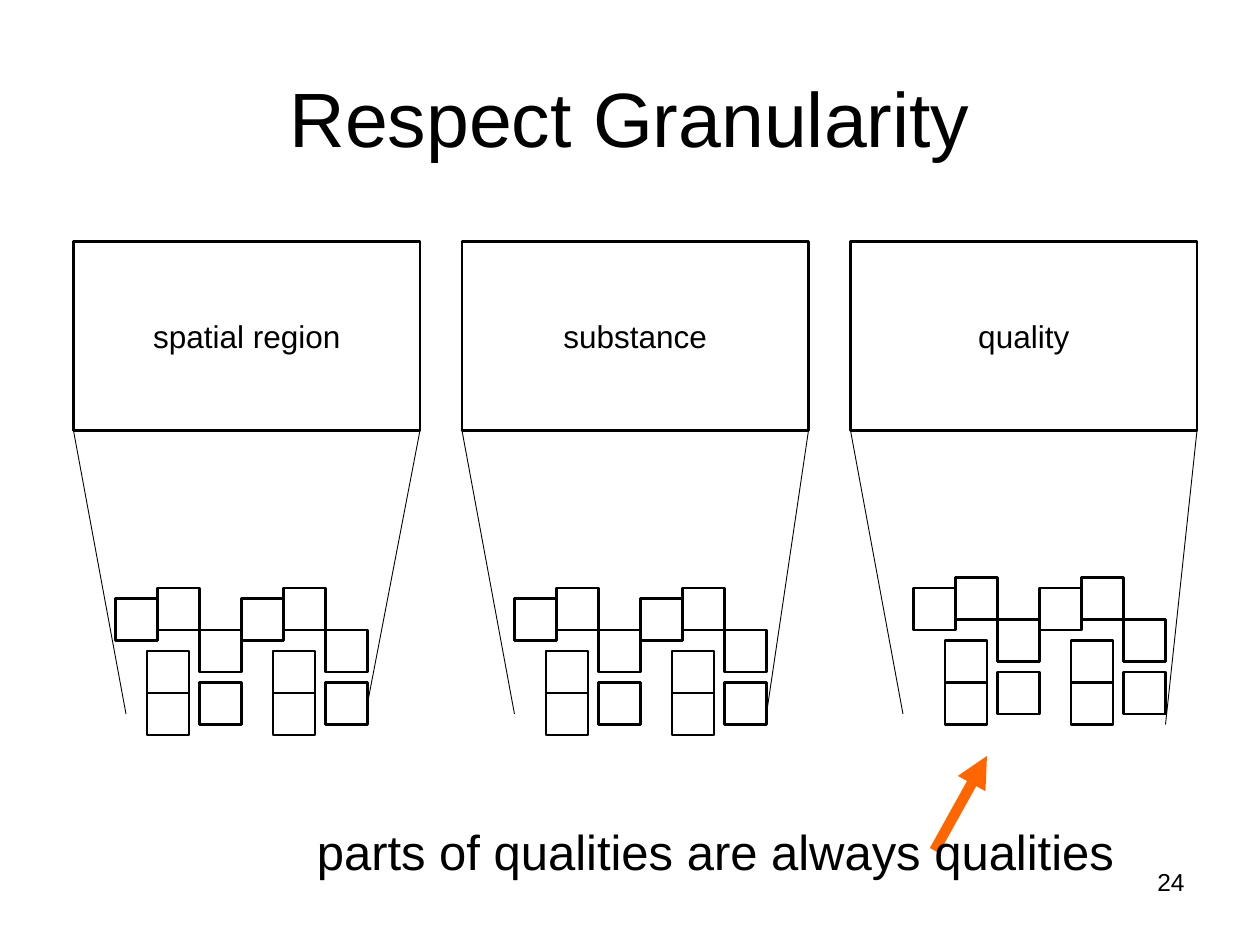
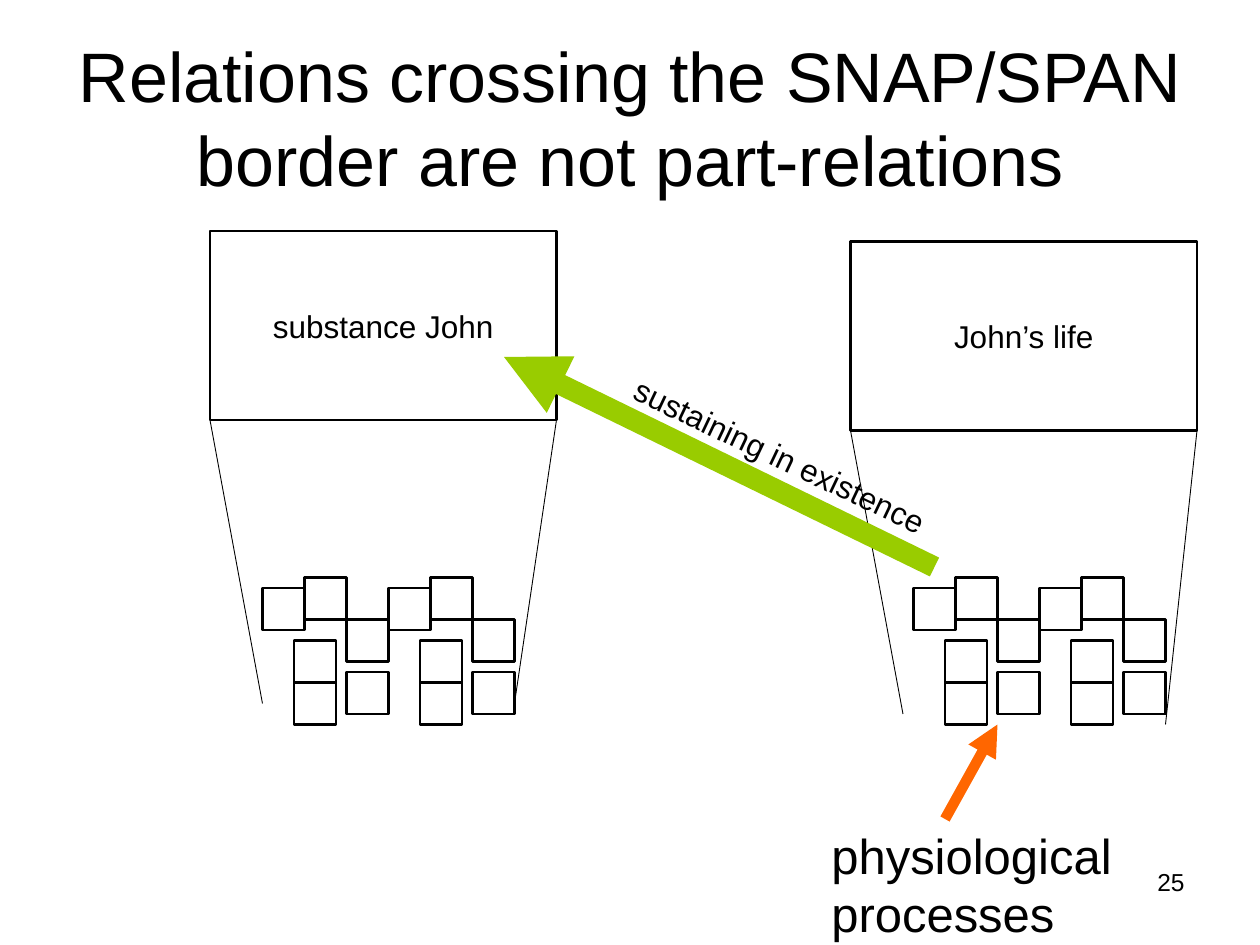
from typing import NamedTuple

from lxml.etree import SubElement
from pptx import Presentation
from pptx.dml.color import RGBColor
from pptx.enum.shapes import MSO_CONNECTOR, MSO_SHAPE
from pptx.enum.text import MSO_ANCHOR, MSO_AUTO_SIZE, PP_ALIGN
from pptx.oxml.ns import qn
from pptx.util import Emu, Pt

PX = 9525  # 96 px to the inch
FONT = "Arial"
COLORS = {"ink": "000000", "paper": "FFFFFF", "orange": "FF6600", "green": "99CC00"}

BOX_W, BOX_H = 264, 144
GRAIN = 32
GRAIN_OFFSETS = [(0, 8), (32, 0), (64, 32), (24, 48), (64, 72), (24, 80)]
HALF_STEP = 96  # the six grains are repeated this far to the right
LEFT_INSET, LEFT_DROP = 40, 216


class Entity(NamedTuple):
    """A labelled box, its two zoom lines and the grains below it."""
    label: str
    x: int
    y: int
    grains_x: int
    grains_y: int
    right_inset: int
    right_drop: int


class Arrow(NamedTuple):
    start: tuple[int, int]
    end: tuple[int, int]
    color: str
    width: int


class Note(NamedTuple):
    text: str
    x: int
    y: int
    w: int
    h: int
    size: int = 28
    rotation: float = 0
    wrap: bool = True
    align: PP_ALIGN = PP_ALIGN.LEFT


QUALITY = Entity("quality", 648, 184, 696, 440, 24, 224)


def px(*lengths: int) -> list[Emu]:
    return [Emu(length * PX) for length in lengths]


def rgb(name: str) -> RGBColor:
    return RGBColor.from_string(COLORS[name])


def write(tf, text: str, size: int, align=PP_ALIGN.LEFT, anchor=MSO_ANCHOR.TOP,
          wrap: bool = True) -> None:
    tf.auto_size = MSO_AUTO_SIZE.NONE
    tf.word_wrap = wrap
    tf.vertical_anchor = anchor
    p = tf.paragraphs[0]
    p.alignment = align
    r = p.add_run()
    r.text = text
    r.font.name = FONT
    r.font.size = Pt(size)
    r.font.color.rgb = rgb("ink")


def add_rect(s, x: int, y: int, w: int, h: int):
    sp = s.shapes.add_shape(MSO_SHAPE.RECTANGLE, *px(x, y, w, h))
    sp.shadow.inherit = False
    sp.fill.solid()
    sp.fill.fore_color.rgb = rgb("paper")
    sp.line.color.rgb = rgb("ink")
    sp.line.width = Pt(1.5)
    return sp


def add_line(s, start: tuple[int, int], end: tuple[int, int],
             color: str = "ink", width: float = 0.5):
    line = s.shapes.add_connector(MSO_CONNECTOR.STRAIGHT, *px(*start, *end))
    line.line.color.rgb = rgb(color)
    line.line.width = Pt(width)
    SubElement(line.element.spPr, qn("a:effectLst"))
    return line


def add_arrow(s, arrow: Arrow) -> None:
    line = add_line(s, *arrow)
    SubElement(line.line._get_or_add_ln(), qn("a:tailEnd"), type="triangle")


def add_note(s, note: Note) -> None:
    tb = s.shapes.add_textbox(*px(note.x, note.y, note.w, note.h))
    tb.rotation = note.rotation
    write(tb.text_frame, note.text, note.size, note.align, wrap=note.wrap)


def add_entity(s, e: Entity) -> None:
    box = add_rect(s, e.x, e.y, BOX_W, BOX_H)
    write(box.text_frame, e.label, 18, PP_ALIGN.CENTER, MSO_ANCHOR.MIDDLE, wrap=False)
    for half in range(2):
        for dx, dy in GRAIN_OFFSETS:
            add_rect(s, e.grains_x + half * HALF_STEP + dx, e.grains_y + dy, GRAIN, GRAIN)
    right, bottom = e.x + BOX_W, e.y + BOX_H
    add_line(s, (e.x, bottom), (e.x + LEFT_INSET, bottom + LEFT_DROP))
    add_line(s, (right, bottom), (right - e.right_inset, bottom + e.right_drop))


def add_slide(prs, number: int, title: str, title_size: int, entities: list[Entity],
              notes: list[Note], arrows: list[Arrow]) -> None:
    s = prs.slides.add_slide(prs.slide_layouts[5])
    sp = s.shapes.title
    sp.left, sp.top, sp.width, sp.height = px(48, 29, 864, 120)
    write(sp.text_frame, title, title_size, PP_ALIGN.CENTER, MSO_ANCHOR.MIDDLE)
    for entity in entities:
        add_entity(s, entity)
    for arrow in arrows:
        add_arrow(s, arrow)
    page = Note(str(number), 688, 656, 224, 50, size=14, align=PP_ALIGN.RIGHT)
    for note in [*notes, page]:
        add_note(s, note)


def main() -> None:
    prs = Presentation()
    prs.slide_width, prs.slide_height = px(960, 720)
    add_slide(
        prs, 24, "Respect Granularity", 44,
        entities=[Entity("spatial region", 56, 184, 88, 448, 40, 208),
                  Entity("substance", 352, 184, 392, 448, 32, 216),
                  QUALITY],
        notes=[Note("parts of qualities are always qualities", 232, 621, 672, 55)],
        arrows=[Arrow((712, 648), (752, 576), "orange", 6)],
    )
    add_slide(
        prs, 25, "Relations crossing the SNAP/SPAN border are not part-relations", 40,
        entities=[QUALITY._replace(label="John’s life"),
                  Entity("substance John", 160, 176, 200, 440, 32, 216)],
        notes=[Note("physiological processes", 624, 624, 280, 100),
               Note("sustaining in existence", 464, 328, 260, 38, size=18,
                    rotation=25.5, wrap=False)],
        arrows=[Arrow((720, 624), (760, 552), "orange", 6),
                Arrow((712, 432), (384, 272), "green", 12)],
    )
    prs.save("out.pptx")


if __name__ == "__main__":
    main()
